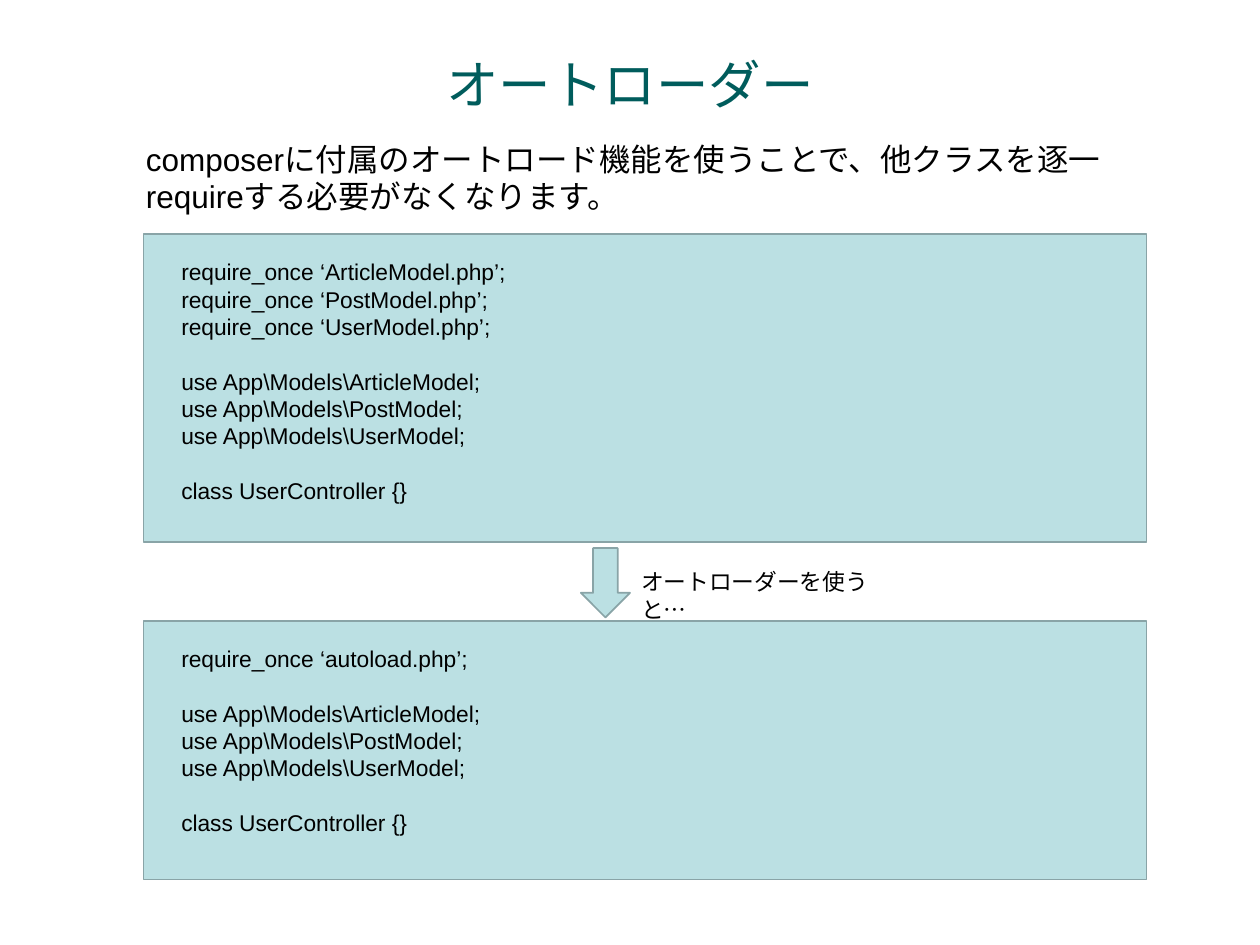
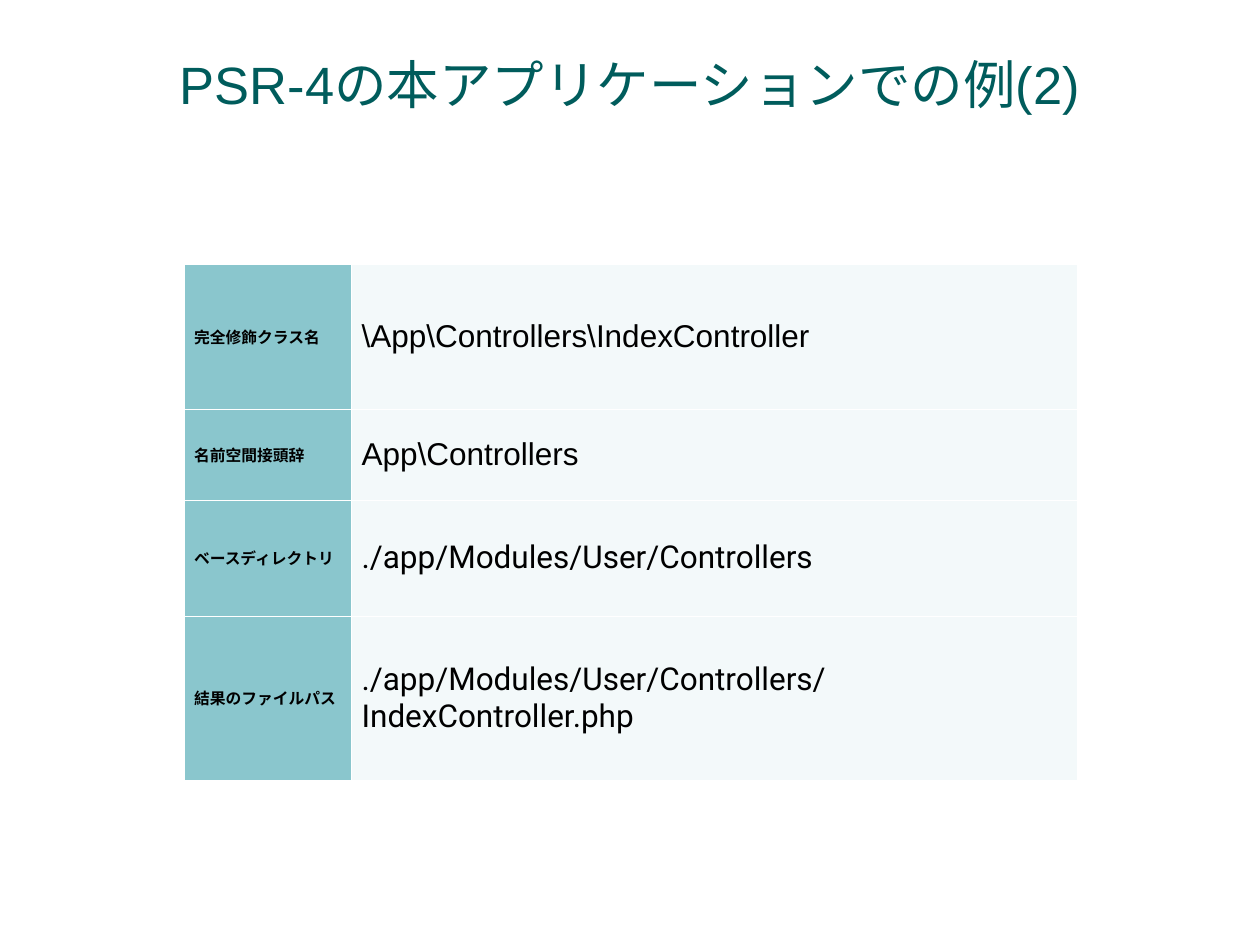
from dataclasses import dataclass
from typing import Any

from lxml import etree
from pptx import Presentation
from pptx.dml.color import RGBColor
from pptx.enum.shapes import MSO_SHAPE
from pptx.enum.text import MSO_ANCHOR, MSO_AUTO_SIZE, PP_ALIGN
from pptx.oxml.ns import qn
from pptx.util import Inches, Pt

RECTANGLE = MSO_SHAPE.RECTANGLE
DOWN_ARROW = MSO_SHAPE.DOWN_ARROW
MIDDLE = MSO_ANCHOR.MIDDLE
CENTER = PP_ALIGN.CENTER
NO_AUTOFIT = MSO_AUTO_SIZE.NONE

TITLE_ONLY = 5
TEAL = "005C5C"
BLACK = "000000"
WHITE = "FFFFFF"
PANEL_FILL = "BBE0E3"
PANEL_LINE = "89A4A7"
LABEL_FILL = "8AC6CD"
VALUE_FILL = "F3F9FA"

TITLE_FONT = {"name": "Arial", "size": Pt(30), "bold": False}
LABEL_FONT = {"name": "Arial", "size": Pt(9), "bold": True}
VALUE_FONT = {"size": Pt(18), "bold": False}
CELL_FORMAT = {
    "vertical_anchor": MIDDLE,
    "margin_left": Inches(0.08),
    "margin_right": Inches(0.01),
    "margin_top": Inches(0.05),
    "margin_bottom": Inches(0.05),
}
LINE_PITCH = 1.2
BORDER_WIDTH = 0.45


@dataclass(frozen=True)
class Area:
    left: float
    top: float
    width: float
    height: float

    def lengths(self) -> list[int]:
        return [Inches(value) for value in (self.left, self.top, self.width, self.height)]


@dataclass(frozen=True)
class CodePanel:
    area: Area
    blocks: list[list[str]]


@dataclass(frozen=True)
class PathRow:
    label: str
    value: str
    height: float
    font_name: str = "Arial"


MODEL_CODE = [
    [
        "use App\\Models\\ArticleModel;",
        "use App\\Models\\PostModel;",
        "use App\\Models\\UserModel;",
    ],
    ["class UserController {}"],
]
CODE_PANELS = [
    CodePanel(
        Area(1.14, 1.86, 7.96, 2.44),
        [
            [
                "require_once ‘ArticleModel.php’;",
                "require_once ‘PostModel.php’;",
                "require_once ‘UserModel.php’;",
            ],
            *MODEL_CODE,
        ],
    ),
    CodePanel(
        Area(1.14, 4.93, 7.96, 2.05),
        [["require_once ‘autoload.php’;"], *MODEL_CODE],
    ),
]
PATH_ROWS = [
    PathRow("完全修飾クラス名", "\\App\\Controllers\\IndexController", 1.15),
    PathRow("名前空間接頭辞", "App\\Controllers", 0.72),
    PathRow("ベースディレクトリ", "./app/Modules/User/Controllers", 0.92, "Roboto"),
    PathRow("結果のファイルパス", "./app/Modules/User/Controllers/IndexController.php", 1.3, "Roboto"),
]
COLUMN_WIDTHS = [1.33, 5.76]


def color(code: str) -> RGBColor:
    return RGBColor.from_string(code)


def apply_format(target: Any, values: dict[str, Any]) -> None:
    for name, value in values.items():
        setattr(target, name, value)


def style_font(font: Any, values: dict[str, Any], ink: str = BLACK) -> None:
    apply_format(font, values)
    font.color.rgb = color(ink)


def add_titled_page(deck: Any, title: str) -> Any:
    page = deck.slides.add_slide(deck.slide_layouts[TITLE_ONLY])
    box = page.shapes.title
    box.left, box.top, box.width, box.height = Area(0.75, 0.25, 8.5, 0.83).lengths()
    frame = box.text_frame
    frame.text = title
    apply_format(frame, {"auto_size": NO_AUTOFIT, "vertical_anchor": MIDDLE, "word_wrap": True})
    para = frame.paragraphs[0]
    para.alignment = CENTER
    style_font(para.font, TITLE_FONT, TEAL)
    return page


def add_text(page: Any, area: Area, blocks: list[list[str]], size: float) -> None:
    frame = page.shapes.add_textbox(*area.lengths()).text_frame
    apply_format(frame, {"auto_size": NO_AUTOFIT, "word_wrap": True})
    pitch = Pt(size * LINE_PITCH)
    para = frame.paragraphs[0]
    for block_index, block in enumerate(blocks):
        for line_index, line in enumerate(block):
            if block_index or line_index:
                para = frame.add_paragraph()
            para.text = line
            para.line_spacing = pitch
            if block_index and not line_index:
                para.space_before = pitch
            style_font(para.font, {"name": "Arial", "size": Pt(size)})


def add_filled_shape(page: Any, kind: Any, area: Area) -> None:
    shape = page.shapes.add_shape(kind, *area.lengths())
    shape.shadow.inherit = False
    shape.fill.solid()
    shape.fill.fore_color.rgb = color(PANEL_FILL)
    shape.line.color.rgb = color(PANEL_LINE)
    shape.line.width = Pt(1)


def add_code_panel(page: Any, panel: CodePanel) -> None:
    area = panel.area
    add_filled_shape(page, RECTANGLE, area)
    code_area = Area(area.left + 0.2, area.top + 0.14, 7.32, area.height - 0.4)
    add_text(page, code_area, panel.blocks, 13)


def set_borders(cell: Any) -> None:
    properties = cell._tc.get_or_add_tcPr()
    for index, side in enumerate(("lnL", "lnR", "lnT", "lnB")):
        border = etree.Element(qn(f"a:{side}"), w=str(Pt(BORDER_WIDTH)))
        fill = etree.SubElement(border, qn("a:solidFill"))
        etree.SubElement(fill, qn("a:srgbClr"), val=WHITE)
        properties.insert(index, border)


def fill_cell(cell: Any, text: str, background: str, font: dict[str, Any]) -> None:
    cell.text = text
    apply_format(cell, CELL_FORMAT)
    cell.fill.solid()
    cell.fill.fore_color.rgb = color(background)
    style_font(cell.text_frame.paragraphs[0].font, font)
    set_borders(cell)


def add_path_table(page: Any, left: float, top: float) -> None:
    area = Area(left, top, sum(COLUMN_WIDTHS), sum(row.height for row in PATH_ROWS))
    table = page.shapes.add_table(len(PATH_ROWS), len(COLUMN_WIDTHS), *area.lengths()).table
    apply_format(table, {"first_row": False, "horz_banding": False})
    for column, width in zip(table.columns, COLUMN_WIDTHS):
        column.width = Inches(width)
    for index, row in enumerate(PATH_ROWS):
        table.rows[index].height = Inches(row.height)
        fill_cell(table.cell(index, 0), row.label, LABEL_FILL, LABEL_FONT)
        value_font = VALUE_FONT | {"name": row.font_name}
        fill_cell(table.cell(index, 1), row.value, VALUE_FILL, value_font)


def build_autoloader_page(deck: Any) -> None:
    page = add_titled_page(deck, "オートローダー")
    intro = "composerに付属のオートロード機能を使うことで、他クラスを逐一requireする必要がなくなります。"
    add_text(page, Area(1.06, 1.06, 8.5, 0.7), [[intro]], 18)
    for panel in CODE_PANELS:
        add_code_panel(page, panel)
    add_filled_shape(page, DOWN_ARROW, Area(4.61, 4.35, 0.39, 0.55))
    add_text(page, Area(4.99, 4.46, 2.3, 0.54), [["オートローダーを使うと…"]], 13)


def build_path_page(deck: Any) -> None:
    page = add_titled_page(deck, "PSR-4の本アプリケーションでの例(2)")
    add_path_table(page, 1.46, 2.1)


def main() -> None:
    deck = Presentation()
    deck.slide_width = Inches(10)
    deck.slide_height = Inches(7.5)
    build_autoloader_page(deck)
    build_path_page(deck)
    deck.save("out.pptx")


if __name__ == "__main__":
    main()
